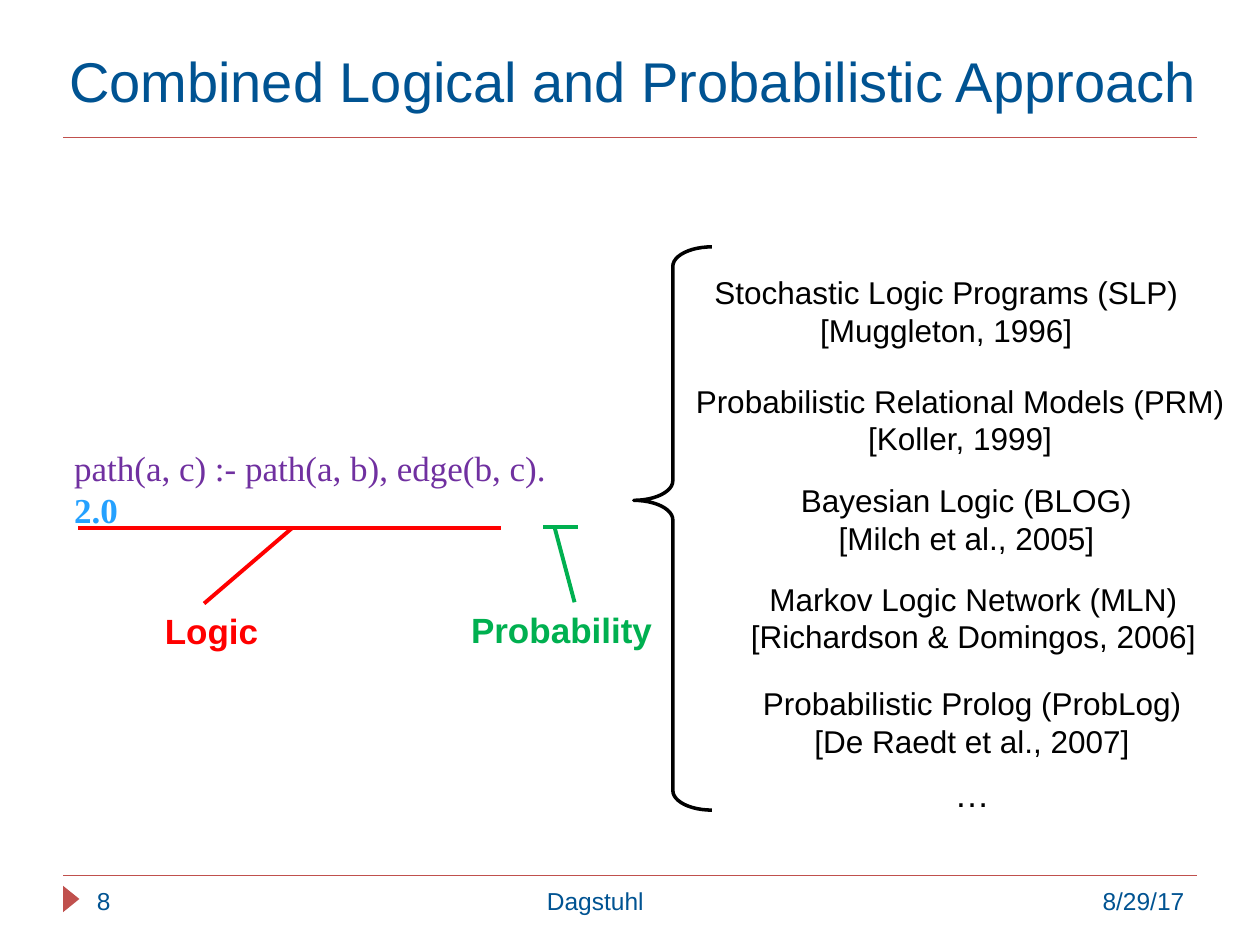
from dataclasses import dataclass

from lxml import etree
from pptx import Presentation
from pptx.dml.color import RGBColor
from pptx.enum.shapes import MSO_CONNECTOR, MSO_SHAPE
from pptx.enum.text import MSO_ANCHOR, MSO_AUTO_SIZE, PP_ALIGN
from pptx.oxml.ns import qn
from pptx.util import Pt

PX = 9144  # one px is a hundredth of an inch
STRAIGHT = MSO_CONNECTOR.STRAIGHT
TRIANGLE = MSO_SHAPE.ISOSCELES_TRIANGLE
CALLOUT = MSO_SHAPE.ROUNDED_RECTANGULAR_CALLOUT
BRACE = MSO_SHAPE.LEFT_BRACE
LEFT, CENTER, RIGHT = PP_ALIGN.LEFT, PP_ALIGN.CENTER, PP_ALIGN.RIGHT
TOP, MIDDLE = MSO_ANCHOR.TOP, MSO_ANCHOR.MIDDLE
GROW, FIXED = MSO_AUTO_SIZE.SHAPE_TO_FIT_TEXT, MSO_AUTO_SIZE.NONE

BLACK = RGBColor(0, 0, 0)
WHITE = RGBColor(255, 255, 255)
NAVY = RGBColor(0x00, 0x53, 0x92)
BRICK = RGBColor(0xC0, 0x50, 0x4D)
RED = RGBColor(255, 0, 0)
GREEN = RGBColor(0x00, 0xB0, 0x50)
PURPLE = RGBColor(0x70, 0x30, 0xA0)
SKY = RGBColor(0x25, 0xA1, 0xFF)


@dataclass
class Box:
    x: int
    y: int
    w: int
    h: int

    def emu(self) -> list[int]:
        return [v * PX for v in (self.x, self.y, self.w, self.h)]


@dataclass
class Label:
    box: Box
    lines: list[str]
    size: int
    color: RGBColor
    align: PP_ALIGN = CENTER
    bold: bool = False
    anchor: MSO_ANCHOR = TOP
    fit: MSO_AUTO_SIZE = GROW


@dataclass
class Line:
    x1: int
    y1: int
    x2: int
    y2: int


@dataclass
class Mark:
    color: RGBColor
    lines: list[Line]
    label: Label


def set_font(run, color: RGBColor, **values) -> None:
    for key, value in values.items():
        setattr(run.font, key, value)
    run.font.color.rgb = color


def draw_label(shapes, label: Label) -> None:
    frame = shapes.add_textbox(*label.box.emu()).text_frame
    form = {"word_wrap": True, "vertical_anchor": label.anchor,
            "auto_size": label.fit}
    for key, value in form.items():
        setattr(frame, key, value)
    for i, text in enumerate(label.lines):
        para = frame.add_paragraph() if i else frame.paragraphs[0]
        para.alignment = label.align
        run = para.add_run()
        run.text = text
        set_font(run, label.color, name="Arial", size=Pt(label.size),
                 bold=label.bold)


def draw_line(shapes, line: Line, color: RGBColor, width: float) -> None:
    ends = [v * PX for v in (line.x1, line.y1, line.x2, line.y2)]
    link = shapes.add_connector(STRAIGHT, *ends)
    link.line.color.rgb = color
    link.line.width = Pt(width)
    etree.SubElement(link._element.spPr, qn("a:effectLst"))


def draw_shape(shapes, kind: MSO_SHAPE, box: Box, adjust: list[float]):
    shape = shapes.add_shape(kind, *box.emu())
    shape.shadow.inherit = False
    for i, value in enumerate(adjust):
        shape.adjustments[i] = value
    return shape


def draw_fill(shapes, kind: MSO_SHAPE, box: Box, adjust: list[float],
              color: RGBColor):
    shape = draw_shape(shapes, kind, box, adjust)
    shape.fill.solid()
    shape.fill.fore_color.rgb = color
    shape.line.fill.background()
    return shape


def draw_rule(shapes) -> None:
    shape = draw_fill(shapes, CALLOUT, Box(43, 333, 451, 120),
                      [0.91, 0.06, 0.17], WHITE)
    frame = shape.text_frame
    frame.word_wrap = True
    frame.vertical_anchor = MIDDLE
    frame.margin_bottom = 16 * PX
    para = frame.paragraphs[0]
    para.alignment = LEFT
    face = {"name": "Times New Roman", "size": Pt(20)}
    rule = para.add_run()
    rule.text = "path(a, c) :- path(a, b), edge(b, c)."
    set_font(rule, PURPLE, **face)
    para.add_line_break()
    weight = para.add_run()
    weight.text = "2.0"
    set_font(weight, SKY, bold=True, **face)


def draw_mark(shapes, mark: Mark) -> None:
    group = shapes.add_group_shape().shapes
    for line in mark.lines:
        draw_line(group, line, mark.color, 2.25)
    draw_label(group, mark.label)


FRAME = [
    Label(Box(20, 17, 965, 93),
          ["Combined Logical and Probabilistic Approach"], 32, NAVY,
          anchor=MIDDLE, fit=FIXED),
    Label(Box(67, 698, 89, 40), ["8"], 14, NAVY, LEFT, fit=FIXED),
    Label(Box(156, 698, 633, 40), ["Dagstuhl"], 14, NAVY, fit=FIXED),
    Label(Box(700, 698, 250, 40), ["8/29/17"], 14, NAVY, RIGHT, fit=FIXED),
]
MARKS = [
    Mark(RED, [Line(62, 419, 398, 419), Line(232, 419, 162, 479)],
         Label(Box(121, 479, 113, 44), ["Logic"], 20, RED, LEFT, True)),
    Mark(GREEN, [Line(431, 418, 459, 418), Line(440, 418, 456, 478)],
         Label(Box(364, 478, 183, 44), ["Probability"], 20, GREEN, LEFT, True)),
]
# Left, top, width, name and source of each language
WORKS = [
    (522, 212, 458, "Stochastic Logic Programs (SLP)", "[Muggleton, 1996]"),
    (533, 298, 458, "Probabilistic Relational Models (PRM)",
     "[Koller, 1999]"),
    (538, 377, 458, "Bayesian Logic (BLOG)", "[Milch et al., 2005]"),
    (567, 455, 411, "Markov Logic Network (MLN)",
     "[Richardson & Domingos, 2006]"),
    (566, 538, 411, "Probabilistic Prolog (ProbLog)",
     "[De Raedt et al., 2007]"),
]


def main() -> None:
    deck = Presentation()
    deck.slide_width, deck.slide_height = 1000 * PX, 750 * PX
    shapes = deck.slides.add_slide(deck.slide_layouts[6]).shapes

    # Title, footer and their rules
    for y in (695, 109):
        draw_line(shapes, Line(50, y, 950, y), BRICK, 0.75)
    arrow = draw_fill(shapes, TRIANGLE, Box(46, 707, 21, 13), [0.5], BRICK)
    arrow.rotation = 90
    for label in FRAME:
        draw_label(shapes, label)

    # Weighted rule with its two marked parts
    draw_rule(shapes)
    for mark in MARKS:
        draw_mark(shapes, mark)

    # Brace and list of languages
    brace = draw_shape(shapes, BRACE, Box(503, 196, 62, 447), [0.25, 0.45])
    brace.fill.background()
    brace.line.color.rgb = BLACK
    brace.line.width = Pt(2)
    for x, y, w, name, source in WORKS:
        draw_label(shapes, Label(Box(x, y, w, 71), [name, source], 18, BLACK))
    draw_label(shapes, Label(Box(658, 608, 227, 44), ["…"], 20, BLACK))

    deck.save("out.pptx")


if __name__ == "__main__":
    main()
